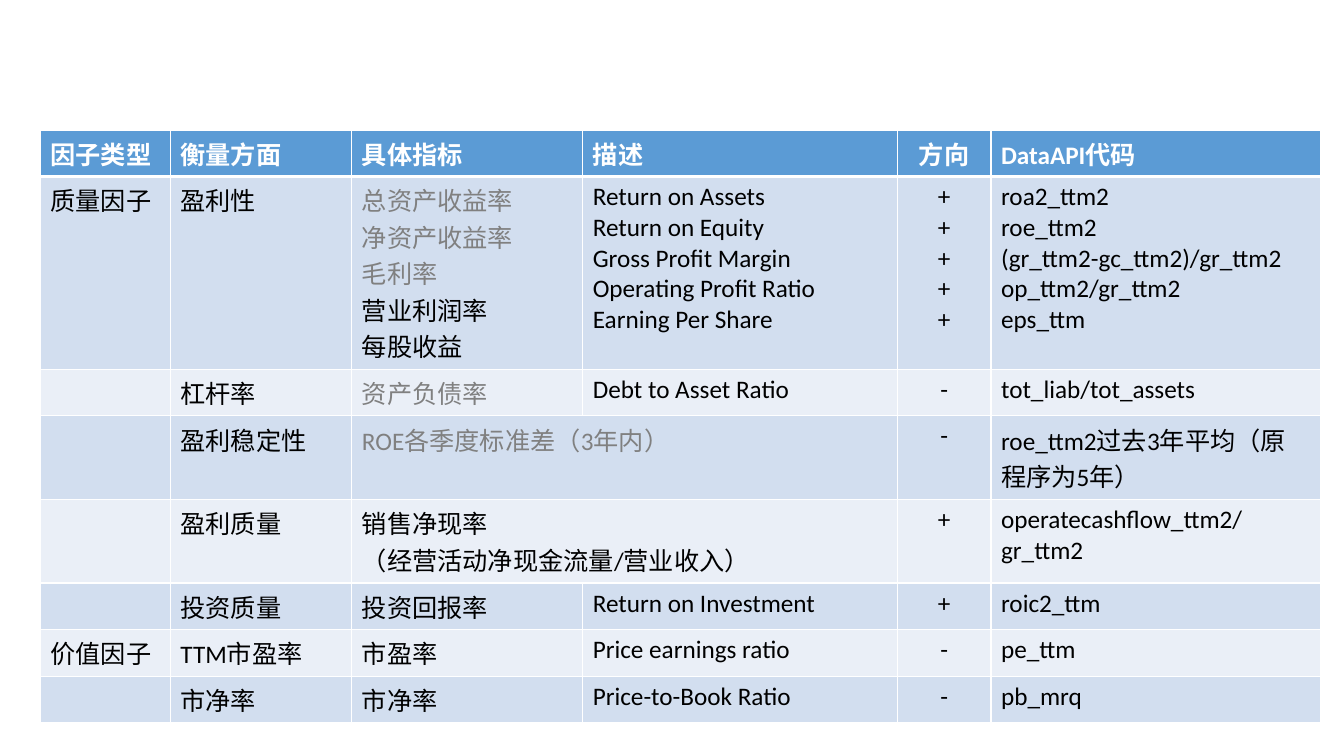
import pptx
import pptx.util
import pptx.dml.color
import pptx.enum.text
import pptx.oxml
import pptx.oxml.ns

RGBColor = pptx.dml.color.RGBColor
Inches = pptx.util.Inches
WHITE = RGBColor(0xFF, 0xFF, 0xFF)
BLACK = RGBColor(0x00, 0x00, 0x00)
GREY = RGBColor(0x80, 0x80, 0x80)
HEADER_BLUE = RGBColor(0x5B, 0x9B, 0xD5)
BANDS = [RGBColor(0xEA, 0xEF, 0xF7), RGBColor(0xD2, 0xDE, 0xEF)]

COLUMN_WIDTHS = [1.29, 1.8, 2.29, 3.12, 0.93, 3.27]
LINE_ROW = 0.46
ROW_HEIGHTS = [LINE_ROW, 1.91, LINE_ROW, 0.83, 0.83] + [LINE_ROW] * 3
DIRECTION_COLUMN = 4

FACTORS = [
    ["因子类型", "衡量方面", "具体指标", "描述", "方向", "DataAPI代码"],
    ["质量因子", "盈利性",
     "总资产收益率\n净资产收益率\n毛利率\n营业利润率\n每股收益",
     "Return on Assets\nReturn on Equity\nGross Profit Margin\n"
     "Operating Profit Ratio\nEarning Per Share",
     "+\n+\n+\n+\n+",
     "roa2_ttm2\nroe_ttm2\n(gr_ttm2-gc_ttm2)/gr_ttm2\nop_ttm2/gr_ttm2\neps_ttm"],
    ["", "杠杆率", "资产负债率", "Debt to Asset Ratio", "-", "tot_liab/tot_assets"],
    ["", "盈利稳定性", "ROE各季度标准差（3年内）", None, "-",
     "roe_ttm2过去3年平均（原程序为5年）"],
    ["", "盈利质量", "销售净现率\n（经营活动净现金流量/营业收入）", None, "+",
     "operatecashflow_ttm2/gr_ttm2"],
    ["", "投资质量", "投资回报率", "Return on Investment", "+", "roic2_ttm"],
    ["价值因子", "TTM市盈率", "市盈率", "Price earnings ratio", "-", "pe_ttm"],
    ["", "市净率", "市净率", "Price-to-Book Ratio", "-", "pb_mrq"],
]
GREY_INDICATORS = {"总资产收益率", "净资产收益率", "毛利率", "资产负债率",
                   "ROE各季度标准差（3年内）"}


def draw_borders(cell, widths):
    """Add white cell borders; widths maps side letters to points."""
    properties = cell._tc.get_or_add_tcPr()
    for position, (side, width) in enumerate(widths.items()):
        border = pptx.oxml.parse_xml(
            f'<a:ln{side} {pptx.oxml.ns.nsdecls("a")} w="{pptx.util.Pt(width)}">'
            f'<a:solidFill><a:srgbClr val="{WHITE}"/></a:solidFill></a:ln{side}>')
        properties.insert(position, border)


def write_cell(cell, text, is_header, centred):
    cell.text = text
    for paragraph in cell.text_frame.paragraphs:
        if centred:
            paragraph.alignment = pptx.enum.text.PP_ALIGN.CENTER
        body_colour = GREY if paragraph.text in GREY_INDICATORS else BLACK
        font_format = {"name": "Calibri", "size": pptx.util.Pt(18), "bold": is_header}
        for run in paragraph.runs:
            for attribute, value in font_format.items():
                setattr(run.font, attribute, value)
            run.font.color.rgb = WHITE if is_header else body_colour


def add_factor_table(slide, left, top, width, height):
    """Fill the box with the factor table, sharing it out by column and row."""
    table = slide.shapes.add_table(len(FACTORS), len(COLUMN_WIDTHS),
                                   left, top, width, height).table
    for column, share in zip(table.columns, COLUMN_WIDTHS):
        column.width = int(width * share / sum(COLUMN_WIDTHS))
    for row, share in zip(table.rows, ROW_HEIGHTS):
        row.height = int(height * share / sum(ROW_HEIGHTS))

    for row_index, factor in enumerate(FACTORS):
        is_header = row_index == 0
        for column_index, text in enumerate(factor):
            cell = table.cell(row_index, column_index)
            cell.fill.solid()
            cell.fill.fore_color.rgb = HEADER_BLUE if is_header else BANDS[row_index % 2]
            draw_borders(cell, {"L": 1, "R": 1, "T": 3 if row_index == 1 else 1,
                                "B": 3 if is_header else 1})
            if text is None:
                table.cell(row_index, column_index - 1).merge(cell)
            else:
                write_cell(cell, text, is_header, column_index == DIRECTION_COLUMN)


def main():
    presentation = pptx.Presentation()
    presentation.slide_width = Inches(13.33)
    presentation.slide_height = Inches(7.5)
    slide = presentation.slides.add_slide(presentation.slide_layouts[6])
    add_factor_table(slide, Inches(0.4), Inches(1.29),
                     Inches(sum(COLUMN_WIDTHS)), Inches(sum(ROW_HEIGHTS)))
    presentation.save("out.pptx")


if __name__ == "__main__":
    main()
